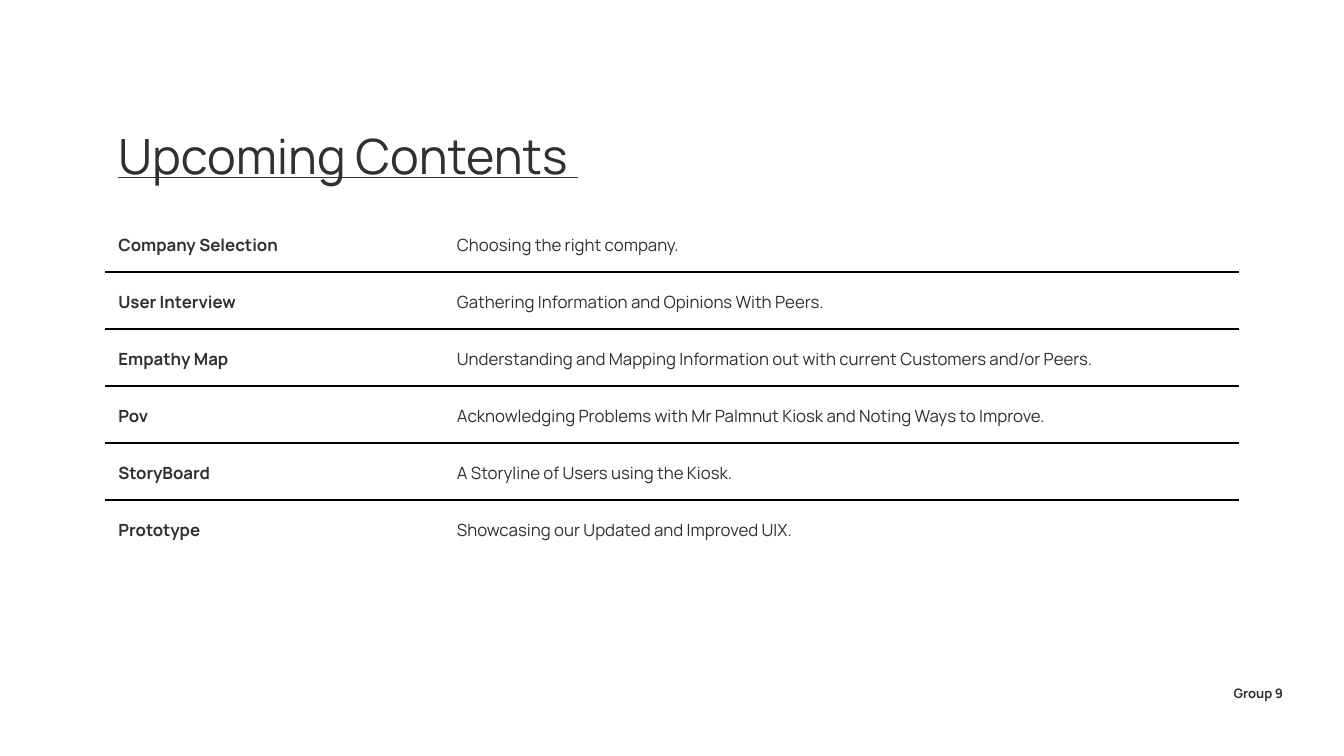
from dataclasses import dataclass

from lxml.etree import SubElement
from pptx import Presentation
from pptx.dml.color import RGBColor
from pptx.enum.text import MSO_ANCHOR as Anchor
from pptx.oxml.ns import qn
from pptx.util import Pt


@dataclass(frozen=True)
class Theme:
    font: str = "Manrope"
    ink: str = "303030"
    rule: str = "000000"
    rule_width: float = 0.75
    title: float = 26
    body: float = 9
    footer: float = 7
    inset: float = 7.2


THEME = Theme()

CONTENTS = [
    ("Company Selection", "Choosing the right company."),
    ("User Interview", "Gathering Information and Opinions With Peers."),
    ("Empathy Map", "Understanding and Mapping Information out with current Customers and/or Peers."),
    ("Pov", "Acknowledging Problems with Mr Palmnut Kiosk and Noting Ways to Improve."),
    ("StoryBoard", "A Storyline of Users using the Kiosk."),
    ("Prototype", "Showcasing our Updated and Improved UIX."),
]


def write(tf, text, size, bold=False, underline=False, spacing=None):
    p = tf.paragraphs[0]
    if spacing:
        p.line_spacing = spacing
    r = p.add_run()
    r.text = text
    f = r.font
    f.name, f.size, f.bold, f.underline = THEME.font, Pt(size), bold, underline
    f.color.rgb = RGBColor.from_string(THEME.ink)


def add_text(s, box, text, size, anchor=Anchor.TOP, top_inset=THEME.inset, **fmt):
    tf = s.shapes.add_textbox(*map(Pt, box)).text_frame
    tf.word_wrap = True
    tf.vertical_anchor = anchor
    tf.margin_left = tf.margin_right = tf.margin_bottom = Pt(THEME.inset)
    tf.margin_top = Pt(top_inset)
    write(tf, text, size, **fmt)


def set_borders(cell, ruled):
    """Rule the sides named in ruled (of L, R, T, B) and clear the others."""
    tc_pr = cell._tc.get_or_add_tcPr()
    for side in "LRTB":
        ln = SubElement(tc_pr, qn(f"a:ln{side}"), w=str(Pt(THEME.rule_width)))
        if side in ruled:
            fill = SubElement(ln, qn("a:solidFill"))
            SubElement(fill, qn("a:srgbClr"), val=THEME.rule)
        else:
            SubElement(ln, qn("a:noFill"))


def add_contents(s, box, rows, first_width):
    """Two-column list with a rule between neighbouring rows."""
    left, top, width, height = box
    table = s.shapes.add_table(len(rows), 2, *map(Pt, box)).table
    table.first_row = table.horz_banding = False
    table.columns[0].width = Pt(first_width)
    table.columns[1].width = Pt(width - first_width)
    for i, row in enumerate(rows):
        table.rows[i].height = Pt(height / len(rows))
        ruled = ("T" if i > 0 else "") + ("B" if i < len(rows) - 1 else "")
        for j, text in enumerate(row):
            cell = table.cell(i, j)
            set_borders(cell, ruled)
            cell.fill.background()
            cell.vertical_anchor = Anchor.MIDDLE
            cell.margin_left = cell.margin_right = Pt(THEME.inset)
            cell.margin_top = cell.margin_bottom = 0
            write(cell.text_frame, text, THEME.body, bold=j == 0, spacing=1.15)


def main():
    prs = Presentation()
    prs.slide_width, prs.slide_height = Pt(720), Pt(405)
    s = prs.slides.add_slide(prs.slide_layouts[6])
    add_text(s, (56.2, 60.5, 319, 45.4), "Upcoming Contents ", THEME.title,
             anchor=Anchor.MIDDLE, underline=True)
    add_contents(s, (56.2, 115.2, 607.7, 183.3), CONTENTS, first_width=181.4)
    add_text(s, (653.8, 364.3, 43.2, 23), "Group 9", THEME.footer,
             top_inset=4, bold=True)
    prs.save("out.pptx")


if __name__ == "__main__":
    main()
